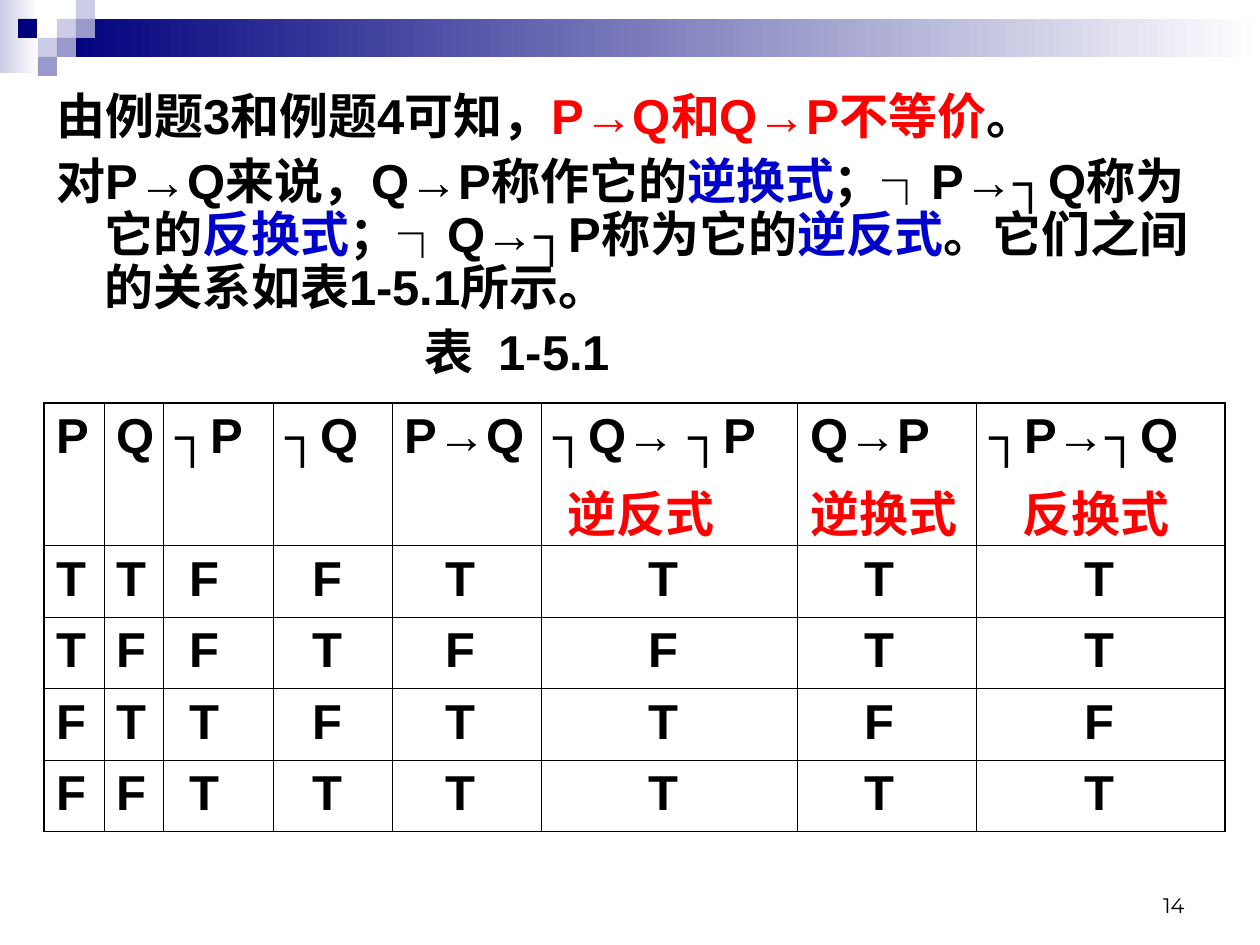
from lxml import etree
from pptx import Presentation
from pptx import util as u
from pptx.dml.color import RGBColor
from pptx.enum import shapes, text
from pptx.oxml.ns import qn

SCALE = 914400 / 126
SQUARE = 19
BLACK, RED, BLUE = "000000", "FF0000", "0000CC"
NAVY, LILAC, PALE, WHITE = "00007D", "9999CC", "CCCCE6", "FFFFFF"

SQUARES = [
    (57, 19, PALE), (76, 0, PALE), (76, 19, LILAC), (38, 38, PALE),
    (18, 19, NAVY), (57, 38, LILAC), (38, 57, LILAC),
]
STATEMENTS = [
    [("由例题3和例题4可知，", BLACK), ("P→Q和Q→P不等价", RED), ("。", BLACK)],
    [("对P→Q来说，Q→P称作它的", BLACK), ("逆换式", BLUE),
     ("；┐P→┐Q称为它的", BLACK), ("反换式", BLUE),
     ("；┐Q→┐P称为它的", BLACK), ("逆反式", BLUE),
     ("。它们之间的关系如表1-5.1所示。", BLACK)],
]
COLUMNS = [
    ("P", 60, 0), ("Q", 59, 0), ("┐P", 110, 14), ("┐Q", 119, 27),
    ("P→Q", 149, 41), ("┐Q→ ┐P", 257, 95), ("Q→P", 179, 54),
    ("┐P→┐Q", 248, 95),
]
FORM_NAMES = {5: ("逆反式", 14), 6: ("逆换式", 0), 7: ("反换式", 33)}
TRUTH_ROWS = ["TTFFTTTT", "TFFTFFTT", "FTTFTTFF", "FFTTTTTT"]


def px(length):
    return u.Emu(round(length * SCALE))


def rgb(code):
    return RGBColor.from_string(code)


def write(para, words, color=BLACK, size=28, bold=True, font="Arial", spacing=0):
    span = para.add_run()
    span.text = words
    span.font.size = u.Pt(size)
    span.font.bold = bold
    span.font.name = font
    span.font.color.rgb = rgb(color)
    if spacing:
        span.font._element.set("spc", str(spacing * 100))


def indent(para, left, first=0):
    properties = para._p.get_or_add_pPr()
    properties.set("marL", str(px(left)))
    properties.set("indent", str(px(first)))


def add_para(frame, position, left=0, first=0):
    para = frame.add_paragraph() if position else frame.paragraphs[0]
    para.space_before = u.Pt(7)
    indent(para, left, first)
    return para


def add_block(page, left, top, width, height, color, fade=False):
    block = page.shapes.add_shape(
        shapes.MSO_SHAPE.RECTANGLE, px(left), px(top), px(width), px(height))
    block.shadow.inherit = False
    block.line.fill.background()
    if fade:
        block.fill.gradient()
        block.fill.gradient_angle = 0
        for stop, shade in zip(block.fill.gradient_stops, (color, WHITE)):
            stop.color.rgb = rgb(shade)
    else:
        block.fill.solid()
        block.fill.fore_color.rgb = rgb(color)


def add_banner(page):
    add_block(page, 0, 0, 39, 73, PALE, fade=True)
    add_block(page, 57, 19, 1203, 38, NAVY, fade=True)
    for left, top, color in SQUARES:
        add_block(page, left, top, SQUARE, SQUARE, color)


def fill_body(box):
    box.left, box.top, box.width, box.height = px(44), px(86), px(1183), px(328)
    frame = box.text_frame
    frame.word_wrap = True
    frame.auto_size = text.MSO_AUTO_SIZE.NONE
    frame.vertical_anchor = text.MSO_ANCHOR.TOP
    for position, spans in enumerate(STATEMENTS):
        para = add_para(frame, position, left=48, first=-48)
        for words, color in spans:
            write(para, words, color=color)
    caption = add_para(frame, len(STATEMENTS), left=368)
    write(caption, "表")
    write(caption, " ", spacing=8)
    write(caption, "1-5.1")
    for para in frame.paragraphs:
        para.line_spacing = 0.9
        etree.SubElement(para._p.get_or_add_pPr(), qn("a:buNone"))


def set_borders(cell, heavy_sides):
    properties = cell._tc.get_or_add_tcPr()
    for side in "LRTB":
        width = 1.08 if side in heavy_sides else 0.45
        line = etree.SubElement(
            properties, qn("a:ln" + side), w=str(u.Pt(width)))
        fill = etree.SubElement(line, qn("a:solidFill"))
        etree.SubElement(fill, qn("a:srgbClr"), val=BLACK)


def add_truth_table(page):
    last_row, last_column = len(TRUTH_ROWS), len(COLUMNS) - 1
    frame = page.shapes.add_table(
        last_row + 1, last_column + 1, px(44), px(403), px(1181), px(426))
    table = frame.table
    table.first_row = table.horz_banding = False
    for row, height in zip(table.rows, [142] + [71] * last_row):
        row.height = px(height)
    for column, (heading, width, inset) in enumerate(COLUMNS):
        table.columns[column].width = px(width)
        for row in range(last_row + 1):
            cell = table.cell(row, column)
            edges = {"L": column == 0, "R": column == last_column,
                     "T": row == 0, "B": row == last_row}
            set_borders(cell, [side for side in edges if edges[side]])
            cell.fill.background()
            para = add_para(cell.text_frame, 0, left=inset if row else 0)
            write(para, TRUTH_ROWS[row - 1][column] if row else heading)
        if column in FORM_NAMES:
            name, left = FORM_NAMES[column]
            para = add_para(table.cell(0, column).text_frame, 1, left=left)
            write(para, name, color=RED)


def add_page_number(page):
    box = page.shapes.add_textbox(px(903), px(861), px(294), px(63))
    box.text_frame.word_wrap = True
    box.text_frame.vertical_anchor = text.MSO_ANCHOR.BOTTOM
    para = box.text_frame.paragraphs[0]
    para.alignment = text.PP_ALIGN.RIGHT
    write(para, "14", size=12, bold=False, font="Montserrat")


def main():
    deck = Presentation()
    deck.slide_width, deck.slide_height = px(1260), px(945)
    page = deck.slides.add_slide(deck.slide_layouts[1])
    title = page.shapes.title._element
    title.getparent().remove(title)
    add_banner(page)
    add_page_number(page)
    fill_body(page.placeholders[1])
    add_truth_table(page)
    deck.save("out.pptx")


if __name__ == "__main__":
    main()
